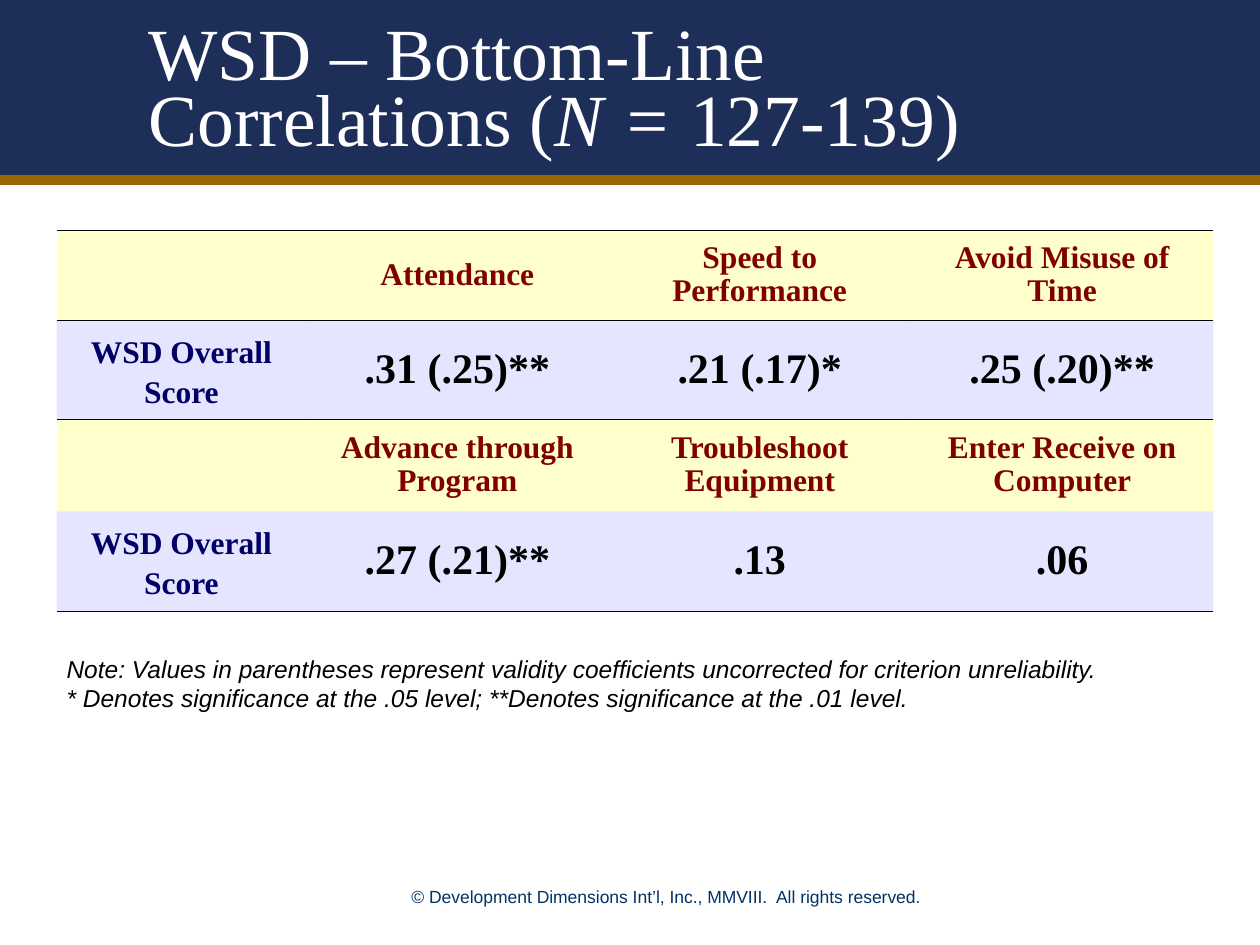
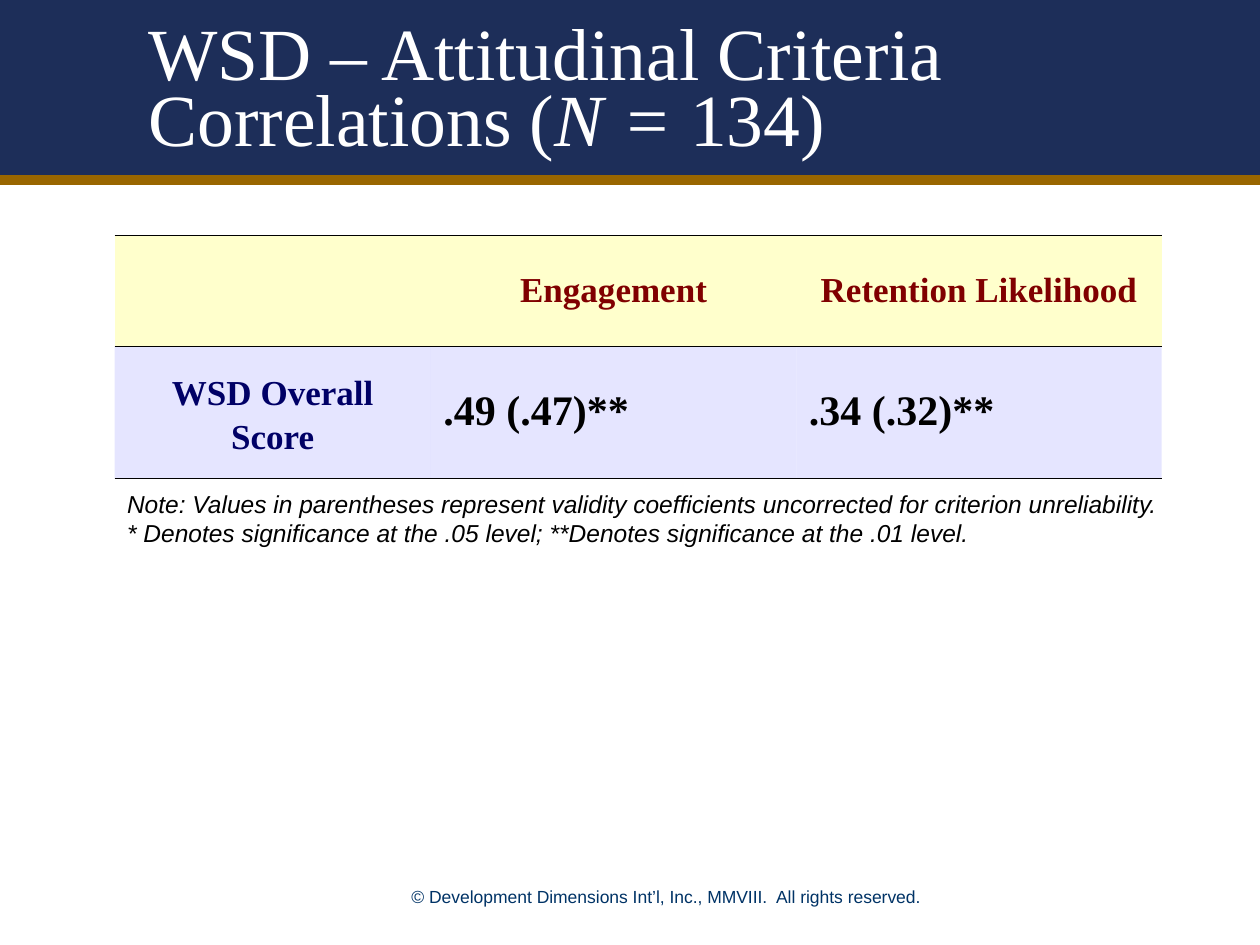
from lxml.etree import SubElement
from pptx import Presentation
from pptx.dml.color import RGBColor
from pptx.enum.shapes import MSO_CONNECTOR, MSO_SHAPE
from pptx.enum.text import MSO_ANCHOR, MSO_AUTO_SIZE, PP_ALIGN
from pptx.oxml import parse_xml
from pptx.oxml.ns import nsdecls, qn
from pptx.util import Inches, Pt

SLIDE_WIDTH, SLIDE_HEIGHT = Inches(10), Inches(7.5)
GRID_COLUMNS, GRID_ROWS = 100, 75
TITLE_ONLY = 5
PLAIN_TABLE_STYLE = "{2D5ABB26-0587-4C30-8999-92F81FD0307C}"
SERIF, SANS = "Times New Roman", "Arial"
COLORS = {
    "band": "1D2E59", "rule": "996600", "title": "FFFFFF", "footer": "003366",
    "header_fill": "FFFFCC", "score_fill": "CCCCFF", "header": "800000",
    "row_label": "000066", "ink": "000000",
}
TITLE_FONT = {"name": SERIF, "size": Pt(42), "color": COLORS["title"]}
FOOTER_FONT = {"name": SANS, "size": Pt(10), "color": COLORS["footer"]}
NOTE_FONT = {"name": SANS, "size": Pt(14), "italic": True, "color": COLORS["ink"]}
TABLE_FONT = {"name": SERIF, "bold": True}
ROW_LABEL = "WSD Overall\vScore"
NOTE_LINES = [
    "Note: Values in parentheses represent validity coefficients uncorrected for criterion unreliability.",
    "* Denotes significance at the .05 level; **Denotes significance at the .01 level.",
]
FOOTER = "© Development Dimensions Int’l, Inc., MMVIII.\u00a0 All rights reserved."


def rgb(color):
    return RGBColor.from_string(color)


def across(columns):
    return round(SLIDE_WIDTH * columns / GRID_COLUMNS)


def down(rows):
    return round(SLIDE_HEIGHT * rows / GRID_ROWS)


def box(left, top, width, height):
    return across(left), down(top), across(width), down(height)


def set_values(target, values):
    for name, value in values.items():
        if name == "color":
            target.color.rgb = rgb(value)
        else:
            setattr(target, name, value)


def add_text(slide, place, lines, font, alignment=PP_ALIGN.LEFT):
    shape = slide.shapes.add_textbox(*box(*place))
    frame = shape.text_frame
    frame.word_wrap = True
    frame.text = "\n".join(lines)
    for paragraph in frame.paragraphs:
        paragraph.alignment = alignment
        set_values(paragraph.font, font)
    return shape


def add_band(slide):
    band = slide.shapes.add_shape(MSO_SHAPE.RECTANGLE, *box(0, 0, GRID_COLUMNS, 14.2))
    band.shadow.inherit = False
    band.fill.solid()
    band.fill.fore_color.rgb = rgb(COLORS["band"])
    band.line.fill.background()
    return band


def add_rule(slide):
    rule = slide.shapes.add_connector(
        MSO_CONNECTOR.STRAIGHT, 0, down(14.3), SLIDE_WIDTH, down(14.3))
    set_values(rule.line, {"color": COLORS["rule"], "width": Pt(6)})
    SubElement(rule.element.spPr, qn("a:effectLst"))
    return rule


def move_frame_to_layout(slide):
    layout = slide.slide_layout
    for placeholder in list(layout.placeholders):
        if placeholder.placeholder_format.idx:
            layout.shapes.element.remove(placeholder.element)
    footer = add_text(slide, (20.6, 69.8, 64.5, 2.7), [FOOTER], FOOTER_FONT, PP_ALIGN.CENTER)
    for shape in (add_band(slide), footer, add_rule(slide)):
        layout.shapes.element.append(shape.element)


def set_title(slide, start, sample):
    title = slide.shapes.title
    title.left, title.top, title.width, title.height = box(10.8, 0, 80.8, 13.2)
    set_values(title.text_frame, {
        "auto_size": MSO_AUTO_SIZE.NONE, "word_wrap": True,
        "vertical_anchor": MSO_ANCHOR.BOTTOM})
    paragraph = title.text_frame.paragraphs[0]
    paragraph.text = f"{start}\vCorrelations ("
    set_values(paragraph, {"alignment": PP_ALIGN.LEFT, "line_spacing": 0.75})
    paragraph.add_run().text = "N = "
    paragraph.add_run().text = f"{sample})"
    for run in paragraph.runs:
        set_values(run.font, TITLE_FONT)
        run.font.italic = run.text == "N = "


def fill_cell(cell, color, opacity=100):
    cell.fill.solid()
    cell.fill.fore_color.rgb = rgb(color)
    if opacity < 100:
        for srgb in cell.fill._xPr.iter(qn("a:srgbClr")):
            SubElement(srgb, qn("a:alpha"), val=str(opacity * 1000))


def write_cell(cell, text, font, alignment, line_spacing):
    cell.vertical_anchor = MSO_ANCHOR.MIDDLE
    cell.text = text
    paragraph = cell.text_frame.paragraphs[0]
    set_values(paragraph, {"alignment": alignment, "line_spacing": line_spacing})
    for run in paragraph.runs:
        set_values(run.font, TABLE_FONT | font)


def draw_border(row, side):
    for properties in row.iter(qn("a:tcPr")):
        properties.insert(0, parse_xml(
            f'<a:{side} {nsdecls("a")} w="{Pt(0.45)}"><a:solidFill>'
            f'<a:srgbClr val="{COLORS["ink"]}"/></a:solidFill></a:{side}>'))


def add_score_table(slide, corner, widths, heights, rows, label_size, score_alignment):
    frame = slide.shapes.add_table(
        len(heights), len(widths), *box(*corner, sum(widths), sum(heights)))
    table = frame.table
    set_values(table, {"first_row": False, "horz_banding": False})
    for style in frame.element.iter(qn("a:tableStyleId")):
        style.text = PLAIN_TABLE_STYLE
    for column, width in zip(table.columns, widths):
        column.width = across(width)
    for row, height in zip(table.rows, heights):
        row.height = down(height)
    header_font = {"size": label_size, "color": COLORS["header"]}
    label_font = {"size": label_size, "color": COLORS["row_label"]}
    score_font = {"size": Pt(24), "color": COLORS["ink"]}
    for row_index, texts in enumerate(rows):
        is_header = row_index % 2 == 0
        for column_index, text in enumerate(texts):
            cell = table.cell(row_index, column_index)
            if is_header:
                fill_cell(cell, COLORS["header_fill"])
                style = header_font, PP_ALIGN.CENTER, 0.95
            else:
                fill_cell(cell, COLORS["score_fill"], 50)
                style = (score_font, score_alignment, 0.95) if column_index else (
                    label_font, PP_ALIGN.CENTER, 1.15)
            write_cell(cell, text, *style)
    table_rows = list(frame.element.iter(qn("a:tr")))
    draw_border(table_rows[-1], "lnB")
    for row in table_rows[:2]:
        draw_border(row, "lnT")


def main():
    presentation = Presentation()
    set_values(presentation, {"slide_width": SLIDE_WIDTH, "slide_height": SLIDE_HEIGHT})
    layout = presentation.slide_layouts[TITLE_ONLY]

    bottom_line = presentation.slides.add_slide(layout)
    move_frame_to_layout(bottom_line)
    set_title(bottom_line, "WSD – Bottom-Line", "127-139")
    add_score_table(bottom_line, (4.5, 18.3), [19.8] + [24] * 3, [7.1, 7.9, 7.3, 7.9], [
        ["", "Attendance", "Speed to Performance", "Avoid Misuse of Time"],
        [ROW_LABEL, ".31 (.25)**", ".21 (.17)*", ".25 (.20)**"],
        ["", "Advance through Program", "Troubleshoot Equipment", "Enter Receive on Computer"],
        [ROW_LABEL, ".27 (.21)**", ".13", ".06"],
    ], Pt(18), PP_ALIGN.CENTER)
    add_text(bottom_line, (4.3, 51.4, 91.4, 5.7), NOTE_LINES, NOTE_FONT)

    attitudes = presentation.slides.add_slide(layout)
    set_title(attitudes, "WSD – Attitudinal Criteria", "134")
    add_score_table(attitudes, (9.1, 18.7), [25.1] + [29] * 2, [8.8, 10.5], [
        ["", "Engagement", "Retention Likelihood"],
        [ROW_LABEL, ".49 (.47)**", ".34 (.32)**"],
    ], Pt(20), PP_ALIGN.LEFT)
    add_text(attitudes, (9.1, 38.3, 84.5, 5.7), NOTE_LINES, NOTE_FONT)

    presentation.save("out.pptx")


if __name__ == "__main__":
    main()
